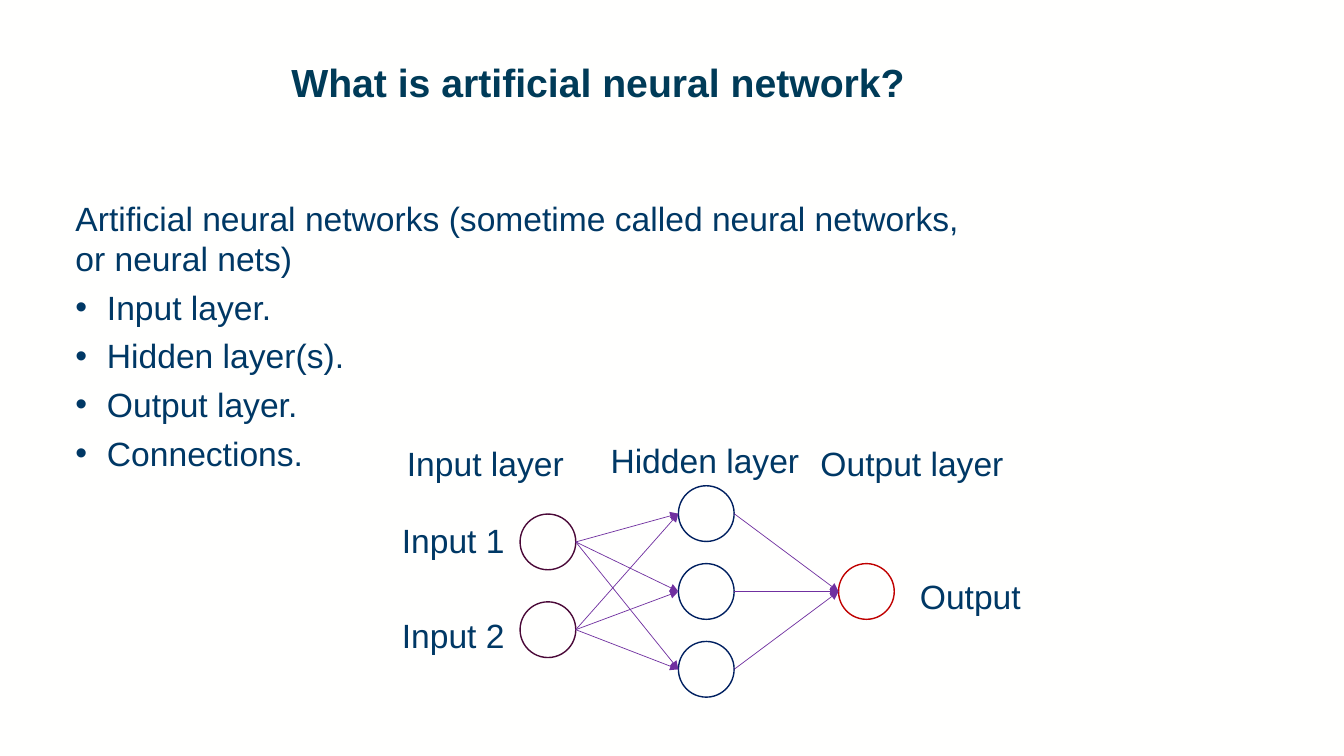
from lxml import etree
from pptx import Presentation
from pptx.dml.color import RGBColor
from pptx.enum.shapes import MSO_CONNECTOR, MSO_SHAPE
from pptx.enum.text import MSO_ANCHOR, PP_ALIGN
from pptx.oxml.ns import qn
from pptx.util import Pt

STRAIGHT = MSO_CONNECTOR.STRAIGHT
OVAL = MSO_SHAPE.OVAL
TOP = MSO_ANCHOR.TOP
LEFT = PP_ALIGN.LEFT

PAPER = RGBColor(0xFF, 0xFF, 0xFE)
TITLE_BLUE = RGBColor(0x00, 0x3B, 0x58)
TEXT_BLUE = RGBColor(0x00, 0x38, 0x65)
INPUT_PLUM = RGBColor(0x4A, 0x09, 0x38)
HIDDEN_NAVY = RGBColor(0x00, 0x20, 0x60)
OUTPUT_RED = RGBColor(0xC0, 0x00, 0x00)
ARROW_PURPLE = RGBColor(0x70, 0x30, 0xA0)

FONT = "Arial"
NODE_SIZE = 39.8
BULLET_INDENT = 22.5

# Node columns: left edge, top of first node, pitch, count, colour
LAYERS = [
    (91.5, 56.2, 62.7, 2, INPUT_PLUM),
    (204.6, 36, 55.6, 3, HIDDEN_NAVY),
    (319, 91.6, 0, 1, OUTPUT_RED),
]
# Labels: text, left, top, width
LABELS = [
    ("Input 1", 0, 57, 88.6),
    ("Input 2", 0, 124.6, 88.6),
    ("Input layer", 3.6, 1.5, 127.4),
    ("Hidden layer", 149, 0, 151),
    ("Output layer", 299, 2, 147),
    ("Output", 370, 96.5, 87),
]


def write(paragraph, text, size=24, color=TEXT_BLUE, bold=False, bullet=False, after=0):
    paragraph.alignment = LEFT
    paragraph.space_after = Pt(after)
    if bullet:
        properties = paragraph._p.get_or_add_pPr()
        properties.set("marL", str(Pt(BULLET_INDENT)))
        properties.set("indent", str(-Pt(BULLET_INDENT)))
        etree.SubElement(properties, qn("a:buFont"), typeface=FONT)
        etree.SubElement(properties, qn("a:buChar"), char="•")
    run = paragraph.add_run()
    run.text = text
    run.font.name = FONT
    run.font.size = Pt(size)
    run.font.bold = bold
    run.font.color.rgb = color


def add_title(slide, left, top, width, height):
    title = slide.shapes.title
    title.left, title.top = Pt(left), Pt(top)
    title.width, title.height = Pt(width), Pt(height)
    frame = title.text_frame
    frame.vertical_anchor = TOP
    frame.word_wrap = True
    paragraph = frame.paragraphs[0]
    paragraph.line_spacing = 0.9
    write(paragraph, "What is artificial neural network?", size=28, color=TITLE_BLUE, bold=True)


def add_description(slide, left, top, width, height):
    frame = slide.shapes.add_textbox(Pt(left), Pt(top), Pt(width), Pt(height)).text_frame
    frame.word_wrap = True
    write(frame.paragraphs[0],
          "Artificial neural networks (sometime called neural networks, or neural nets)", after=6)
    for part in ("Input layer.", "Hidden layer(s).", "Output layer.", "Connections."):
        write(frame.add_paragraph(), part, bullet=True, after=6)


def add_node(shapes, left, top, color):
    node = shapes.add_shape(OVAL, Pt(left), Pt(top), Pt(NODE_SIZE), Pt(NODE_SIZE))
    node.shadow.inherit = False
    node.fill.solid()
    node.fill.fore_color.rgb = PAPER
    node.line.color.rgb = color
    node.line.width = Pt(1)
    return node


def add_arrow(shapes, source, target):
    arrow = shapes.add_connector(
        STRAIGHT,
        source.left + source.width, source.top + source.height // 2,
        target.left, target.top + target.height // 2)
    arrow.line.color.rgb = ARROW_PURPLE
    arrow.line.width = Pt(0.5)
    etree.SubElement(arrow.line._get_or_add_ln(), qn("a:tailEnd"), type="triangle")
    etree.SubElement(arrow._element.spPr, qn("a:effectLst"))


def add_network(slide, left, top):
    shapes = slide.shapes.add_group_shape().shapes

    # Nodes, one column per layer
    layers = [
        [add_node(shapes, left + x, top + y + pitch * row, color) for row in range(count)]
        for x, y, pitch, count, color in LAYERS
    ]

    # Every node feeds every node of the next layer
    for sources, targets in zip(layers, layers[1:]):
        for source in sources:
            for target in targets:
                add_arrow(shapes, source, target)

    # Labels
    for text, x, y, width in LABELS:
        label = shapes.add_textbox(Pt(left + x), Pt(top + y), Pt(width), Pt(36))
        label.text_frame.word_wrap = False
        write(label.text_frame.paragraphs[0], text)


def main():
    presentation = Presentation()
    presentation.slide_width, presentation.slide_height = Pt(960), Pt(540)
    slide = presentation.slides.add_slide(presentation.slide_layouts[5])
    slide.background.fill.solid()
    slide.background.fill.fore_color.rgb = PAPER

    add_title(slide, 200.9, 41.8, 725, 69.8)
    add_description(slide, 46.8, 137.5, 661.7, 206)
    add_network(slide, 280, 311)
    presentation.save("out.pptx")


if __name__ == "__main__":
    main()
